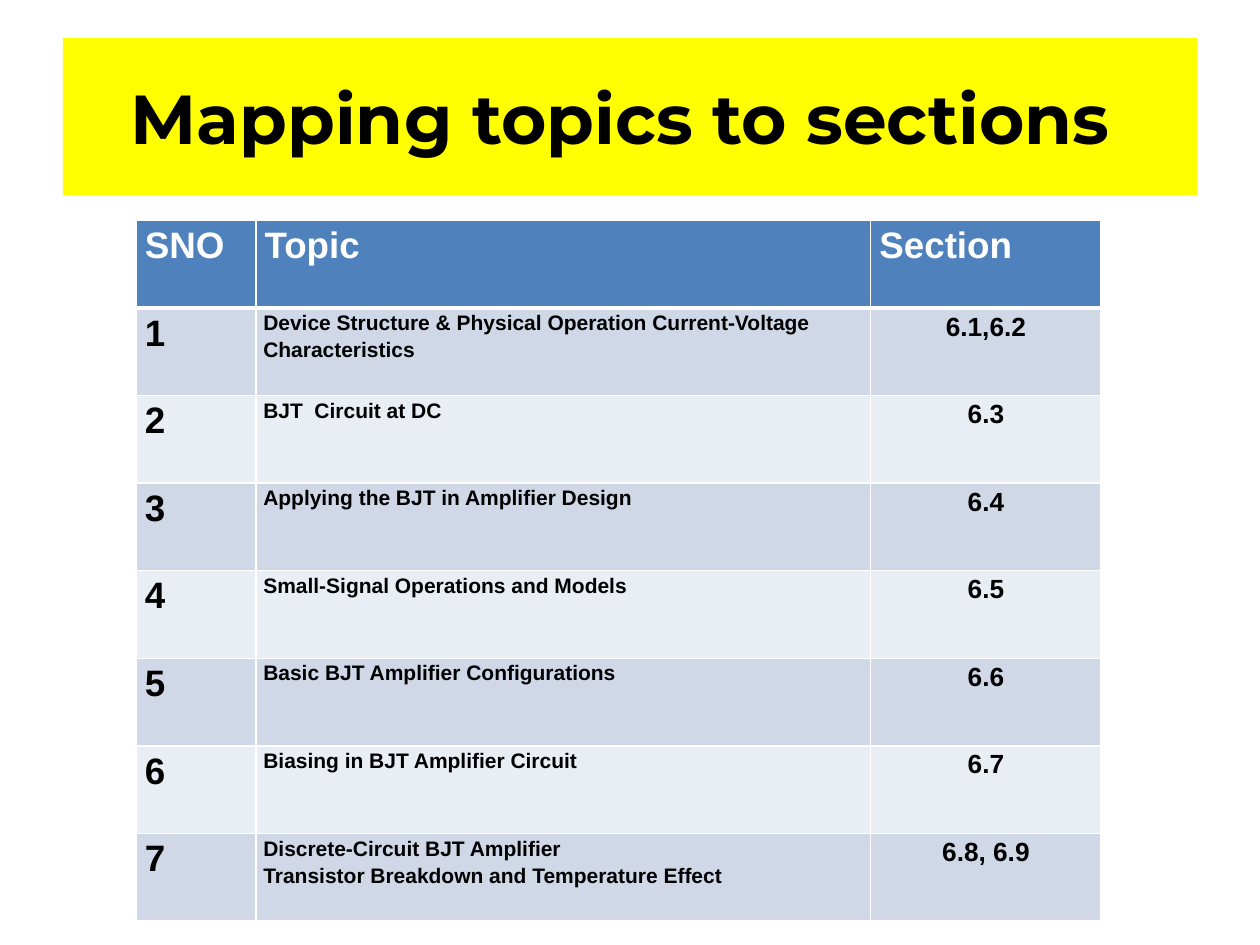
"""Build the slide that maps BJT topics to book sections."""
from lxml import etree
from pptx import Presentation
from pptx.dml.color import RGBColor
from pptx.enum.shapes import MSO_SHAPE
from pptx.enum.text import MSO_ANCHOR, PP_ALIGN
from pptx.oxml.ns import qn
from pptx.util import Inches, Pt

RECTANGLE = MSO_SHAPE.RECTANGLE
MIDDLE = MSO_ANCHOR.MIDDLE
LEFT, CENTER = PP_ALIGN.LEFT, PP_ALIGN.CENTER

YELLOW = RGBColor(0xFF, 0xFF, 0x00)
BLACK = RGBColor(0x00, 0x00, 0x00)
WHITE = RGBColor(0xFF, 0xFF, 0xFF)
BLUE = RGBColor(0x4F, 0x81, 0xBD)
BANDS = [RGBColor(0xE9, 0xED, 0xF4), RGBColor(0xD0, 0xD8, 0xE8)]

HEADINGS = ["SNO", "Topic", "Section"]
TOPICS = [
    (["Device Structure & Physical Operation Current-Voltage Characteristics"], "6.1,6.2"),
    (["BJT  Circuit at DC"], "6.3"),
    (["Applying the BJT in Amplifier Design"], "6.4"),
    (["Small-Signal Operations and Models"], "6.5"),
    (["Basic BJT Amplifier Configurations"], "6.6"),
    (["Biasing in BJT Amplifier Circuit"], "6.7"),
    (["Discrete-Circuit BJT Amplifier", "Transistor Breakdown and Temperature Effect"], "6.8, 6.9"),
]
COLUMN_WIDTHS = [0.95, 4.88, 1.83]
ROW_HEIGHT = 0.695


def add_run(paragraph, text, font_name, size, color):
    run = paragraph.add_run()
    run.text = text
    run.font.name = font_name
    run.font.size = Pt(size)
    run.font.bold = True
    run.font.color.rgb = color


def fill_cell(cell, lines, size, color, background, align, spacing, margins, bottom_width):
    properties = cell._tc.get_or_add_tcPr()
    for side, width in (("L", 1), ("R", 1), ("T", 1), ("B", bottom_width)):
        border = etree.SubElement(properties, qn(f"a:ln{side}"), w=str(Pt(width)))
        border_fill = etree.SubElement(border, qn("a:solidFill"))
        etree.SubElement(border_fill, qn("a:srgbClr"), val=str(WHITE))
    cell.fill.solid()
    cell.fill.fore_color.rgb = background
    cell.margin_left = cell.margin_right = Inches(margins[0])
    cell.margin_top = cell.margin_bottom = Inches(margins[1])
    frame = cell.text_frame
    for index, line in enumerate(lines):
        paragraph = frame.add_paragraph() if index else frame.paragraphs[0]
        paragraph.alignment = align
        paragraph.line_spacing = spacing
        add_run(paragraph, line, "Arial", size, color)


prs = Presentation()
prs.slide_width, prs.slide_height = Inches(10), Inches(7.5)
slide = prs.slides.add_slide(prs.slide_layouts[6])

row_count = len(TOPICS) + 1
mapping = slide.shapes.add_table(
    row_count, len(HEADINGS), Inches(1.08), Inches(1.75),
    Inches(sum(COLUMN_WIDTHS)), Inches(ROW_HEIGHT * row_count),
).table
for column, width in zip(mapping.columns, COLUMN_WIDTHS):
    column.width = Inches(width)
for row in mapping.rows:
    row.height = Inches(ROW_HEIGHT)

wide, narrow = (0.07, 0.04), (0.06, 0)
for position, heading in enumerate(HEADINGS):
    fill_cell(mapping.cell(0, position), [heading], 21, WHITE, BLUE, LEFT, 1.0, wide, 3)
for number, (topic, section) in enumerate(TOPICS, 1):
    band = BANDS[number % 2]
    fill_cell(mapping.cell(number, 0), [str(number)], 21, BLACK, band, LEFT, 1.0, wide, 1)
    fill_cell(mapping.cell(number, 1), topic, 12, BLACK, band, LEFT, 1.15, narrow, 1)
    fill_cell(mapping.cell(number, 2), [section], 15, BLACK, band, CENTER, 1.15, narrow, 1)

title = slide.shapes.add_shape(RECTANGLE, Inches(0.5), Inches(0.3), Inches(9), Inches(1.25))
title.shadow.inherit = False
title.fill.solid()
title.fill.fore_color.rgb = YELLOW
title.line.fill.background()
title.text_frame.word_wrap = True
title.text_frame.vertical_anchor = MIDDLE
title_line = title.text_frame.paragraphs[0]
title_line.alignment = CENTER
add_run(title_line, "Mapping topics to sections ", "Montserrat", 39.6, BLACK)

prs.save("out.pptx")
